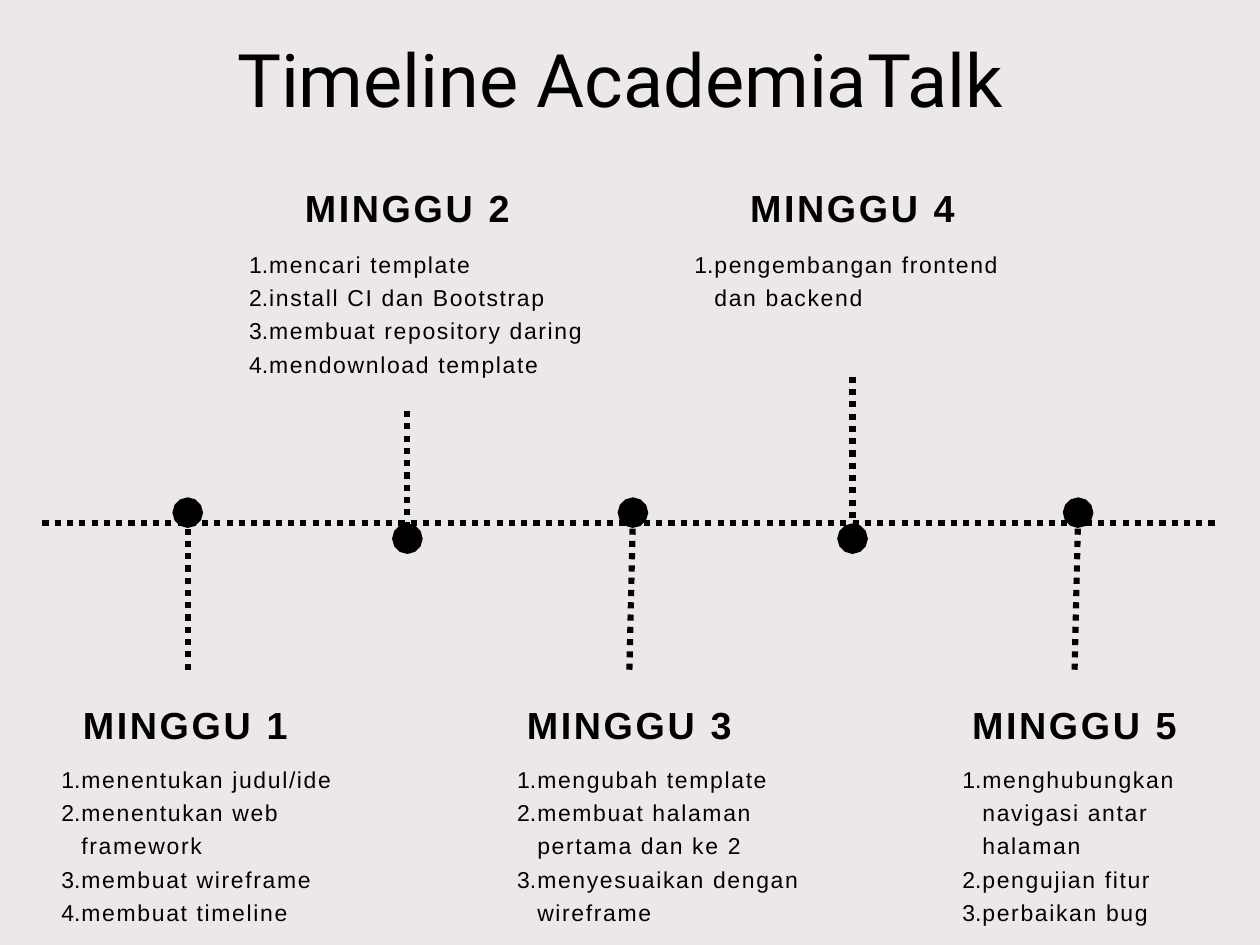
"""Builds the AcademiaTalk timeline slide: five weeks along a dotted axis."""
from lxml import etree
from pptx import Presentation
from pptx.dml.color import RGBColor
from pptx.enum.dml import MSO_LINE
from pptx.enum.shapes import MSO_CONNECTOR
from pptx.enum.text import MSO_ANCHOR, MSO_AUTO_SIZE, PP_ALIGN
from pptx.oxml.ns import qn
from pptx.util import Pt

STRAIGHT = MSO_CONNECTOR.STRAIGHT
DOTTED = MSO_LINE.ROUND_DOT
TOP = MSO_ANCHOR.TOP
NO_FIT = MSO_AUTO_SIZE.NONE
LEFT, CENTER = PP_ALIGN.LEFT, PP_ALIGN.CENTER

TITLE = "Timeline AcademiaTalk"
WEEKS = [
    {"name": "MINGGU 1", "list_left": 36, "list_width": 271, "foot": 159, "dot": 159,
     "tasks": ["menentukan judul/ide", "menentukan web framework",
               "membuat wireframe", "membuat timeline"]},
    {"name": "MINGGU 2", "list_left": 195, "list_width": 300, "foot": 345, "dot": 345,
     "tasks": ["mencari template", "install CI dan Bootstrap",
               "membuat repository daring", "mendownload template"]},
    {"name": "MINGGU 3", "list_left": 422, "list_width": 300, "foot": 533, "dot": 536,
     "tasks": ["mengubah template", "membuat halaman pertama dan ke 2",
               "menyesuaikan dengan wireframe"]},
    {"name": "MINGGU 4", "list_left": 572, "list_width": 300, "foot": 722, "dot": 722,
     "tasks": ["pengembangan frontend dan backend"]},
    {"name": "MINGGU 5", "list_left": 799, "list_width": 223, "foot": 910, "dot": 913,
     "tasks": ["menghubungkan navigasi antar halaman", "pengujian fitur",
               "perbaikan bug"]},
]
COLORS = {"background": "EDE8E8", "ink": "000000"}
TITLE_STYLE = {"font": "Roboto", "size": 45, "leading": 45, "align": CENTER}
NAME_STYLE = {"font": "Arial", "size": 23, "leading": 26.5, "align": CENTER,
              "bold": True, "tracking": 160}
TASK_STYLE = {"font": "Arial", "size": 14, "leading": 20.3, "align": LEFT,
              "tracking": 100, "numbered": True}

PX = 9144
SLIDE_WIDTH, SLIDE_HEIGHT = 1067, 800
AXIS_LEFT, AXIS_RIGHT, AXIS_Y = 36, 1031, 443
NAME_WIDTH, NAME_HEIGHT, NAME_STEP = 242, 40, 188.25
ABOVE = {"name": 158, "list": 207, "dot": 456}
BELOW = {"name": 596, "list": 643, "dot": 434, "foot": 567}
FOOT_ABOVE = {"MINGGU 2": 348, "MINGGU 4": 319}
LINE_HEIGHT = 28
INDENT, HANGING = 33, 17


def ink(name):
    return RGBColor.from_string(COLORS[name])


def write(box, texts, style):
    frame = box.text_frame
    frame.auto_size = NO_FIT
    frame.word_wrap = True
    frame.vertical_anchor = TOP
    frame.margin_left = frame.margin_right = frame.margin_top = frame.margin_bottom = 0
    for index, text in enumerate(texts):
        para = frame.paragraphs[0] if index == 0 else frame.add_paragraph()
        para.alignment = style["align"]
        para.line_spacing = Pt(style["leading"])
        if style.get("numbered"):
            para.level = 1
            properties = para._p.get_or_add_pPr()
            properties.set("marL", str(INDENT * PX))
            properties.set("indent", str(-HANGING * PX))
            etree.SubElement(properties, qn("a:buAutoNum"), type="arabicPeriod")
        span = para.add_run()
        span.text = text
        span.font.name = style["font"]
        span.font.size = Pt(style["size"])
        span.font.bold = style.get("bold", False)
        span.font.color.rgb = ink("ink")
        if "tracking" in style:
            span.font._element.set("spc", str(style["tracking"]))


def add_text(page, left, top, width, height, texts, style):
    box = page.shapes.add_textbox(left * PX, top * PX, width * PX, height * PX)
    write(box, texts, style)


def add_dotted(page, start, end, dot=False):
    points = [value * PX for value in (*start, *end)]
    connector = page.shapes.add_connector(STRAIGHT, *points)
    connector.line.width = Pt(3.75)
    connector.line.color.rgb = ink("ink")
    connector.line.dash_style = DOTTED
    if dot:
        etree.SubElement(connector.line._get_or_add_ln(), qn("a:tailEnd"),
                         type="oval", w="lg", len="lg")
    etree.SubElement(connector._element.spPr, qn("a:effectLst"))


def add_week(page, index, week):
    side = ABOVE if index % 2 else BELOW
    foot_y = FOOT_ABOVE.get(week["name"], BELOW["foot"])
    add_dotted(page, (week["foot"], foot_y), (week["dot"], side["dot"]), dot=True)
    name_left = round(AXIS_LEFT + index * NAME_STEP)
    add_text(page, name_left, side["name"], NAME_WIDTH, NAME_HEIGHT,
             [week["name"]], NAME_STYLE)
    lines = len(week["tasks"]) if side is ABOVE else 5
    add_text(page, week["list_left"], side["list"], week["list_width"],
             lines * LINE_HEIGHT, week["tasks"], TASK_STYLE)


def main():
    deck = Presentation()
    deck.slide_width, deck.slide_height = SLIDE_WIDTH * PX, SLIDE_HEIGHT * PX
    page = deck.slides.add_slide(deck.slide_layouts[5])
    page.background.fill.solid()
    page.background.fill.fore_color.rgb = ink("background")

    title = page.shapes.title
    title.left, title.top, title.width, title.height = (
        value * PX for value in (109, 41, 832, 67))
    write(title, [TITLE], TITLE_STYLE)

    add_dotted(page, (AXIS_LEFT, AXIS_Y), (AXIS_RIGHT, AXIS_Y))
    for index, week in enumerate(WEEKS):
        add_week(page, index, week)
    deck.save("out.pptx")


if __name__ == "__main__":
    main()
